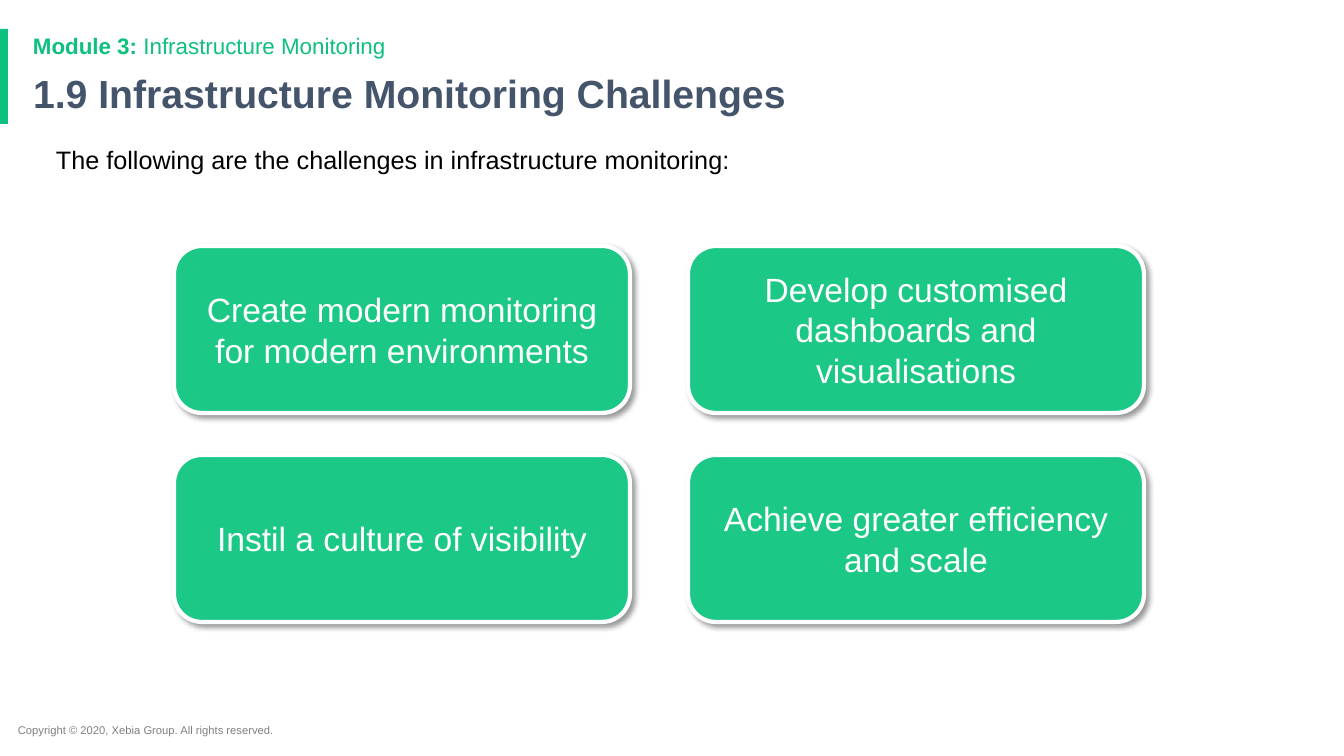
from dataclasses import dataclass

from lxml import etree
from pptx import Presentation
from pptx.dml.color import RGBColor
from pptx.enum.shapes import MSO_SHAPE
from pptx.enum.text import MSO_ANCHOR, MSO_AUTO_SIZE, PP_ALIGN
from pptx.oxml.ns import qn
from pptx.util import Emu, Pt

RECTANGLE = MSO_SHAPE.RECTANGLE
ROUNDED = MSO_SHAPE.ROUNDED_RECTANGLE
TOP, MIDDLE = MSO_ANCHOR.TOP, MSO_ANCHOR.MIDDLE
LEFT, CENTER = PP_ALIGN.LEFT, PP_ALIGN.CENTER
NO_AUTOFIT = MSO_AUTO_SIZE.NONE
TITLE_ONLY = 5
EMU_PER_PX = 914400 / 100.8

CHALLENGES = (
    "Create modern monitoring for modern environments",
    "Develop customised dashboards and visualisations",
    "Instil a culture of visibility",
    "Achieve greater efficiency and scale",
)
COLUMNS = 2
CARD_LEFT, CARD_TOP = 174, 246
CARD_WIDTH, CARD_HEIGHT = 456, 167
COLUMN_PITCH, ROW_PITCH = 514, 209


@dataclass(frozen=True)
class Theme:
    """Colours, font and type sizes of the slide."""

    font: str = "Arial"
    accent: str = "0EC07D"
    card: str = "1BC886"
    heading: str = "44546A"
    body: str = "000000"
    muted: str = "7F7F7F"
    white: str = "FFFFFF"
    title_size: int = 28
    card_size: int = 24
    body_size: int = 18
    module_size: int = 16
    footer_size: int = 8


THEME = Theme()


def px(length):
    """Turn pixels into EMU."""
    return Emu(round(length * EMU_PER_PX))


def box(left, top, width, height):
    """Return a pixel box in EMU."""
    return px(left), px(top), px(width), px(height)


def style_paragraph(paragraph, size, color, bold=False, align=LEFT):
    """Set the font and alignment of a paragraph."""
    paragraph.alignment = align
    font = paragraph.font
    font.name, font.size, font.bold = THEME.font, Pt(size), bold
    font.color.rgb = RGBColor.from_string(color)


def add_text(slide, bounds, text, size, color):
    """Add a wrapped text box and return its frame."""
    frame = slide.shapes.add_textbox(*box(*bounds)).text_frame
    frame.word_wrap = True
    paragraph = frame.paragraphs[0]
    paragraph.text = text
    style_paragraph(paragraph, size, color)
    return frame


def add_filled(slide, kind, bounds, color):
    """Add a preset shape with a plain fill, no line and no shadow."""
    shape = slide.shapes.add_shape(kind, *box(*bounds))
    shape.fill.solid()
    shape.fill.fore_color.rgb = RGBColor.from_string(color)
    shape.line.fill.background()
    shape.shadow.inherit = False
    return shape


def add_drop_shadow(shape):
    """Cast a soft black shadow to the lower right."""
    effects = shape.element.spPr.find(qn("a:effectLst"))
    shadow = etree.SubElement(
        effects, qn("a:outerShdw"), blurRad=str(Pt(4)), dist=str(Pt(3)),
        dir=str(45 * 60000), algn="tl", rotWithShape="0")
    color = etree.SubElement(shadow, qn("a:srgbClr"), val="000000")
    etree.SubElement(color, qn("a:alpha"), val="40000")


def add_card(slide, index, text):
    """Add one challenge card at its place in the grid."""
    row, column = divmod(index, COLUMNS)
    bounds = (CARD_LEFT + column * COLUMN_PITCH, CARD_TOP + row * ROW_PITCH,
              CARD_WIDTH, CARD_HEIGHT)
    card = add_filled(slide, ROUNDED, bounds, THEME.card)
    card.line.color.rgb = RGBColor.from_string(THEME.white)
    card.line.width = Pt(3)
    add_drop_shadow(card)
    frame = card.text_frame
    frame.word_wrap = True
    frame.vertical_anchor = MIDDLE
    paragraph = frame.paragraphs[0]
    paragraph.text = text
    style_paragraph(paragraph, THEME.card_size, THEME.white, align=CENTER)


def set_title(slide, bounds, text):
    """Place and format the title placeholder."""
    title = slide.shapes.title
    title.left, title.top, title.width, title.height = box(*bounds)
    frame = title.text_frame
    frame.text = text
    frame.auto_size = NO_AUTOFIT
    frame.vertical_anchor = TOP
    paragraph = frame.paragraphs[0]
    paragraph.line_spacing = 0.9
    style_paragraph(paragraph, THEME.title_size, THEME.heading, bold=True)


def add_module_label(slide, bounds, label, name):
    """Add the module line with its label in bold."""
    frame = add_text(slide, bounds, label, THEME.module_size, THEME.accent)
    paragraph = frame.paragraphs[0]
    paragraph.line_spacing = 0.9
    paragraph.runs[0].font.bold = True
    paragraph.add_run().text = name


def add_introduction(slide, bounds, text):
    """Add the introductory sentence flush with its box."""
    frame = add_text(slide, bounds, text, THEME.body_size, THEME.body)
    frame.margin_left = frame.margin_top = 0
    frame.paragraphs[0].space_after = Pt(6)


def main():
    """Build and save the slide."""
    presentation = Presentation()
    presentation.slide_width, presentation.slide_height = px(1344), px(756)
    slide = presentation.slides.add_slide(presentation.slide_layouts[TITLE_ONLY])
    add_filled(slide, RECTANGLE, (0, 29, 8, 95), THEME.accent)
    add_text(slide, (8, 718, 719, 24),
             "Copyright © 2020, Xebia Group. All rights reserved.",
             THEME.footer_size, THEME.muted)
    add_module_label(slide, (23, 30, 1159, 33),
                     "Module 3: ", "Infrastructure Monitoring")
    set_title(slide, (23, 70, 1159, 54), "1.9 Infrastructure Monitoring Challenges")
    add_introduction(slide, (56, 144, 1133, 533),
                     "The following are the challenges in infrastructure monitoring:")
    for index, challenge in enumerate(CHALLENGES):
        add_card(slide, index, challenge)
    presentation.save("out.pptx")


if __name__ == "__main__":
    main()
